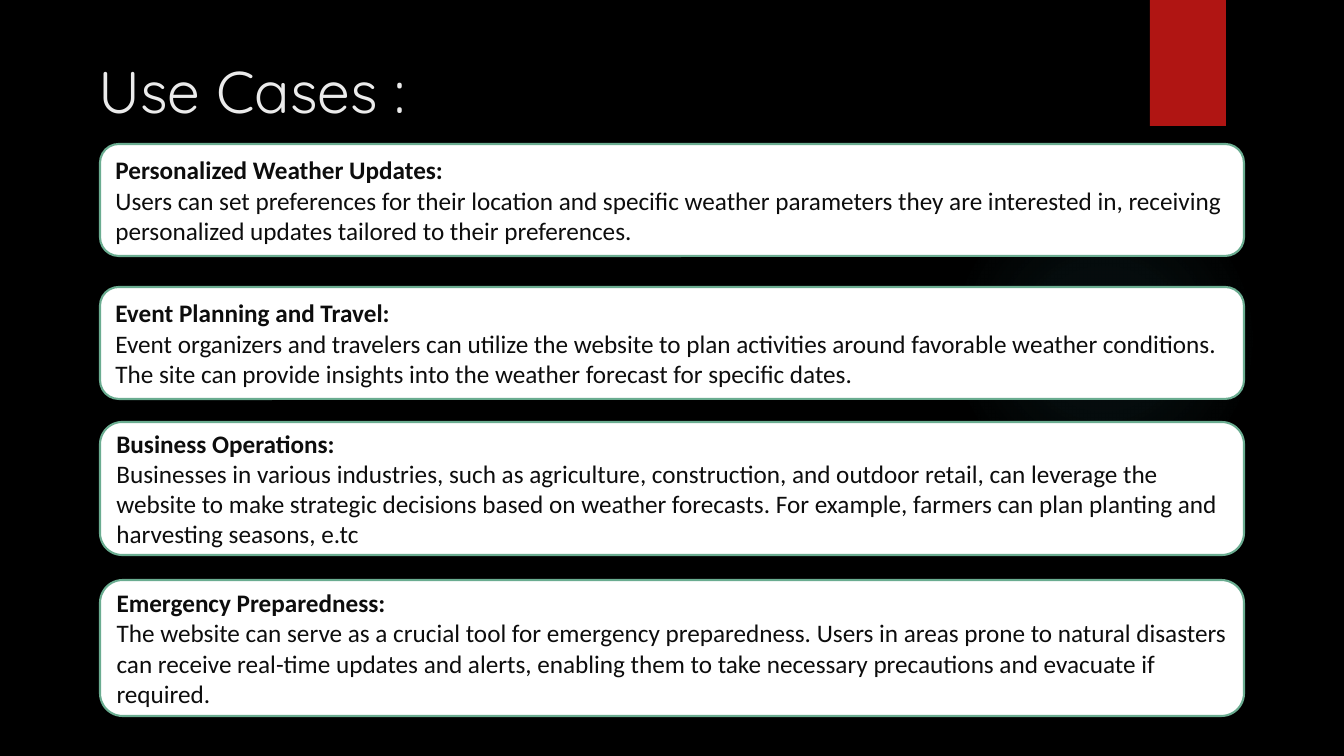
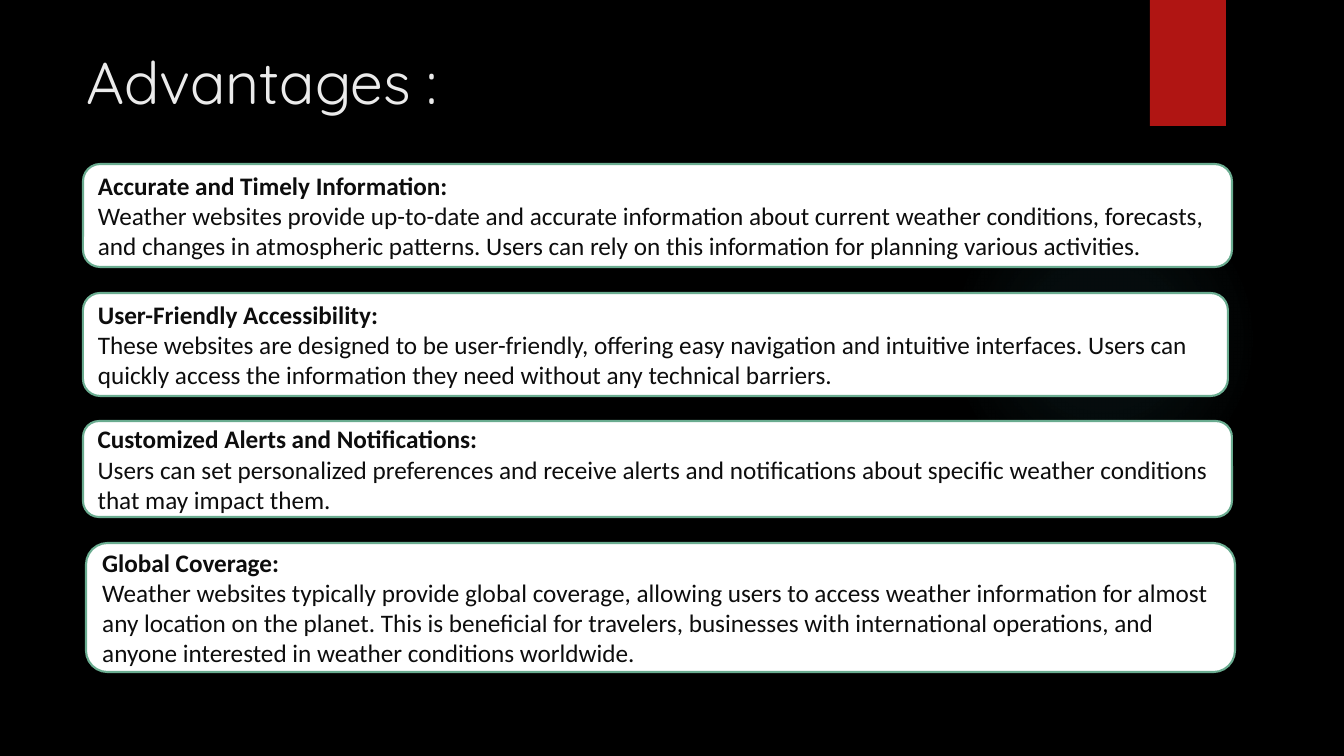
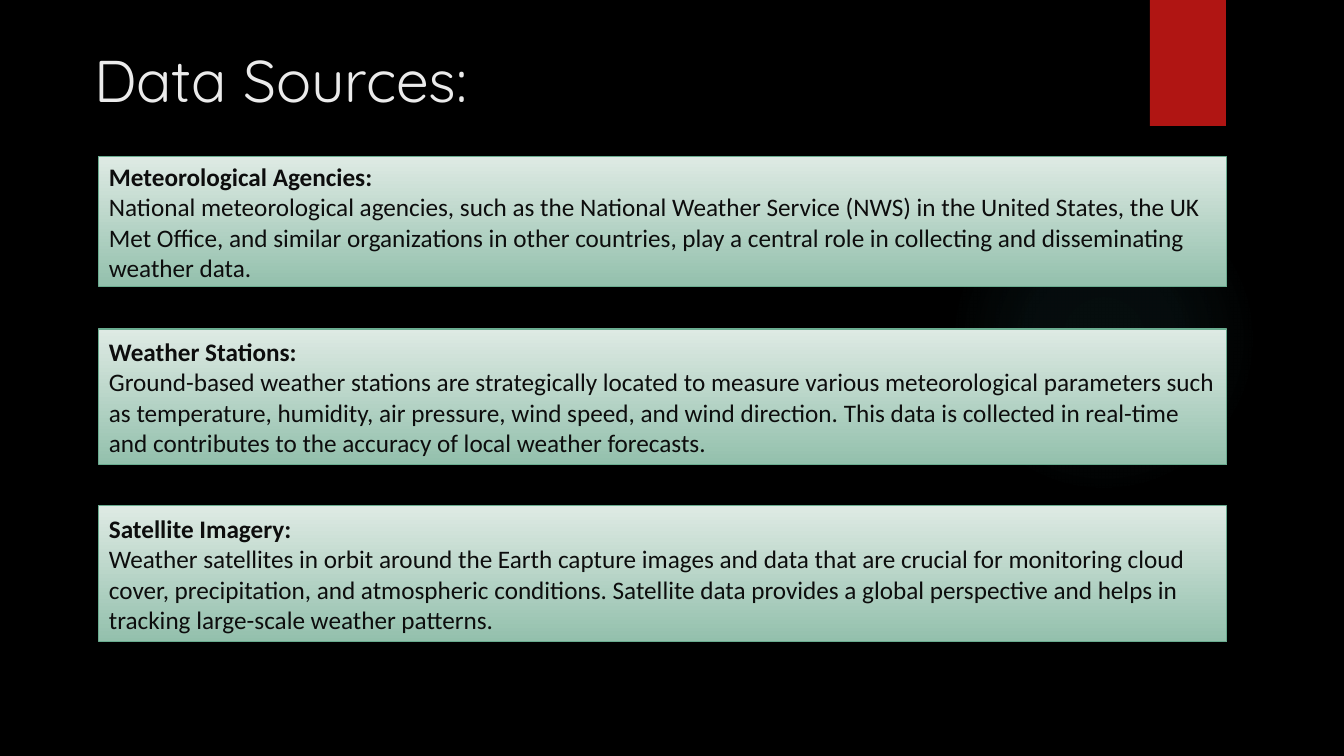
from dataclasses import dataclass

from lxml import etree
from pptx import Presentation
from pptx.dml.color import RGBColor
from pptx.enum.shapes import MSO_SHAPE
from pptx.enum.text import MSO_ANCHOR, MSO_AUTO_SIZE, PP_ALIGN
from pptx.oxml import parse_xml
from pptx.oxml.ns import nsdecls, qn
from pptx.util import Emu, Pt

SLIDE_WIDTH, SLIDE_HEIGHT = 1344, 756
EMU_PER_PX = 12192000 / SLIDE_WIDTH
TITLE_ONLY = 5
RECTANGLE, ROUNDED, ELLIPSE = MSO_SHAPE.RECTANGLE, MSO_SHAPE.ROUNDED_RECTANGLE, MSO_SHAPE.OVAL
TOP, MIDDLE = MSO_ANCHOR.TOP, MSO_ANCHOR.MIDDLE
LEFT = PP_ALIGN.LEFT
NO_AUTOFIT = MSO_AUTO_SIZE.NONE


@dataclass(frozen=True)
class Theme:
    background: str = "000000"
    ribbon: str = "B01513"
    glow: str = "50B9C1"
    title: str = "EBEBEB"
    text: str = "0D0D0D"
    border: str = "6AAC90"
    title_font: str = "Quicksand"
    text_font: str = "Calibri"
    title_size: int = 42
    text_size: int = 18


THEME = Theme()
GLOW_BOX = (949, 184, 310, 310)
RIBBON_BOX = (1150, 0, 76, 126)
GLOW_STOPS = ((0, 7), (36, 6), (69, 0))

WHITE_CARD = {"outline": ROUNDED, "fill": ("FFFFFF",), "border_width": 1.5}
GREEN_CARD = {"outline": RECTANGLE, "fill": ("DEEAE4", "93C0AC"), "border_width": 0.75}

SLIDES = [
    {
        "title": " Use Cases :",
        "title_box": (72, 50, 1010, 75),
        "style": WHITE_CARD,
        "cards": [
            ((100, 144, 1144, 112), "Personalized Weather Updates:",
             "Users can set preferences for their location and specific weather parameters they are "
             "interested in, receiving personalized updates tailored to their preferences."),
            ((100, 287, 1144, 112), "Event Planning and Travel:",
             "Event organizers and travelers can utilize the website to plan activities around favorable "
             "weather conditions. The site can provide insights into the weather forecast for specific dates."),
            ((100, 422, 1144, 133), "Business Operations:",
             "Businesses in various industries, such as agriculture, construction, and outdoor retail, can "
             "leverage the website to make strategic decisions based on weather forecasts. For example, "
             "farmers can plan planting and harvesting seasons, e.tc"),
            ((100, 580, 1144, 136), "Emergency Preparedness:",
             "The website can serve as a crucial tool for emergency preparedness. Users in areas prone to "
             "natural disasters can receive real-time updates and alerts, enabling them to take necessary "
             "precautions and evacuate if required."),
        ],
    },
    {
        "title": "Advantages :",
        "title_box": (76, 41, 1022, 86),
        "style": WHITE_CARD,
        "cards": [
            ((83, 164, 1149, 103), "Accurate and Timely Information:",
             "Weather websites provide up-to-date and accurate information about current weather "
             "conditions, forecasts, and changes in atmospheric patterns. Users can rely on this "
             "information for planning various activities."),
            ((83, 293, 1145, 103), "User-Friendly Accessibility:",
             "These websites are designed to be user-friendly, offering easy navigation and intuitive "
             "interfaces. Users can quickly access the information they need without any technical barriers."),
            ((83, 421, 1149, 96), "Customized Alerts and Notifications:",
             "Users can set personalized preferences and receive alerts and notifications about specific "
             "weather conditions that may impact them."),
            ((86, 543, 1149, 129), "Global Coverage:",
             "Weather websites typically provide global coverage, allowing users to access weather "
             "information for almost any location on the planet. This is beneficial for travelers, "
             "businesses with international operations, and anyone interested in weather conditions worldwide."),
        ],
    },
    {
        "title": "Data Sources:",
        "title_box": (84, 39, 1037, 82),
        "style": GREEN_CARD,
        "cards": [
            ((99, 157, 1128, 130), "Meteorological Agencies:",
             "National meteorological agencies, such as the National Weather Service (NWS) in the United "
             "States, the UK Met Office, and similar organizations in other countries, play a central role "
             "in collecting and disseminating weather data."),
            ((99, 329, 1128, 136), "Weather Stations:",
             "Ground-based weather stations are strategically located to measure various meteorological "
             "parameters such as temperature, humidity, air pressure, wind speed, and wind direction. This "
             "data is collected in real-time and contributes to the accuracy of local weather forecasts."),
            ((99, 506, 1128, 136), "Satellite Imagery:",
             "Weather satellites in orbit around the Earth capture images and data that are crucial for "
             "monitoring cloud cover, precipitation, and atmospheric conditions. Satellite data provides a "
             "global perspective and helps in tracking large-scale weather patterns."),
        ],
    },
]


def px(length):
    return Emu(round(length * EMU_PER_PX))


def rgb(color):
    return RGBColor.from_string(color)


def set_attributes(target, values):
    for name, value in values.items():
        setattr(target, name, value)


def add_shape(slide, outline, box):
    shape = slide.shapes.add_shape(outline, *map(px, box))
    shape.shadow.inherit = False
    return shape


def fill_shape(shape, colors):
    """Fill with one colour, or with a gradient running from top to bottom."""
    if len(colors) == 1:
        shape.fill.solid()
        shape.fill.fore_color.rgb = rgb(colors[0])
        return
    shape.fill.gradient()
    shape.fill.gradient_angle = 270
    for stop, color in zip(shape.fill.gradient_stops, colors):
        stop.color.rgb = rgb(color)


def add_glow(slide, box):
    glow = add_shape(slide, ELLIPSE, box)
    glow.line.fill.background()
    glow.fill.background()
    stops = "".join(
        f'<a:gs pos="{position * 1000}"><a:srgbClr val="{THEME.glow}">'
        f'<a:alpha val="{opacity * 1000}"/></a:srgbClr></a:gs>'
        for position, opacity in GLOW_STOPS
    )
    gradient = parse_xml(
        f'<a:gradFill {nsdecls("a")}><a:gsLst>{stops}</a:gsLst><a:path path="circle">'
        '<a:fillToRect l="50000" t="50000" r="50000" b="50000"/></a:path></a:gradFill>'
    )
    properties = glow.element.spPr
    properties.replace(properties.find(qn("a:noFill")), gradient)
    return glow


def add_ribbon(slide, box):
    ribbon = add_shape(slide, RECTANGLE, box)
    fill_shape(ribbon, (THEME.ribbon,))
    ribbon.line.fill.background()
    shadow = parse_xml(
        f'<a:outerShdw {nsdecls("a")} blurRad="38100" dist="25400" dir="5400000">'
        '<a:srgbClr val="000000"><a:alpha val="45000"/></a:srgbClr></a:outerShdw>'
    )
    ribbon.element.spPr.find(qn("a:effectLst")).append(shadow)
    return ribbon


def style_master(master):
    master.background.fill.solid()
    master.background.fill.fore_color.rgb = rgb(THEME.background)
    level = master.element.find(".//" + qn("p:titleStyle")).find(qn("a:lvl1pPr"))
    level.set("algn", "l")
    defaults = level.find(qn("a:defRPr"))
    defaults.set("sz", str(THEME.title_size * 100))
    for child in list(defaults):
        defaults.remove(child)
    fill = etree.SubElement(defaults, qn("a:solidFill"))
    etree.SubElement(fill, qn("a:srgbClr"), val=THEME.title)
    etree.SubElement(defaults, qn("a:latin"), typeface=THEME.title_font)


def decorate_layout(layout, slide):
    """Draw the glow and ribbon on a slide, then move them behind the layout's placeholders."""
    decorations = [add_glow(slide, GLOW_BOX), add_ribbon(slide, RIBBON_BOX)]
    for index, shape in enumerate(decorations):
        shape.element.find(".//" + qn("p:cNvPr")).set("id", str(20 + index))
        layout.shapes.element.insert(2 + index, shape.element)


def place_title(slide, text, box):
    title = slide.shapes.title
    set_attributes(title, dict(zip(("left", "top", "width", "height"), map(px, box))))
    set_attributes(title.text_frame, {
        "text": text, "vertical_anchor": TOP, "auto_size": NO_AUTOFIT, "word_wrap": True})


def add_card(slide, box, heading, description, style):
    card = add_shape(slide, style["outline"], box)
    fill_shape(card, style["fill"])
    card.line.color.rgb = rgb(THEME.border)
    card.line.width = Pt(style["border_width"])
    frame = card.text_frame
    set_attributes(frame, {
        "text": f"{heading}\n{description}", "vertical_anchor": MIDDLE, "word_wrap": True})
    for paragraph, bold in zip(frame.paragraphs, (True, False)):
        paragraph.alignment = LEFT
        font = paragraph.runs[0].font
        set_attributes(font, {
            "name": THEME.text_font, "size": Pt(THEME.text_size), "bold": bold})
        font.color.rgb = rgb(THEME.text)


def build_card_slide(slide, content):
    place_title(slide, content["title"], content["title_box"])
    for box, heading, description in content["cards"]:
        add_card(slide, box, heading, description, content["style"])


def main():
    presentation = Presentation()
    presentation.slide_width, presentation.slide_height = px(SLIDE_WIDTH), px(SLIDE_HEIGHT)
    style_master(presentation.slide_master)
    layout = presentation.slide_layouts[TITLE_ONLY]
    slides = [presentation.slides.add_slide(layout) for _ in SLIDES]
    decorate_layout(layout, slides[0])
    for slide, content in zip(slides, SLIDES):
        build_card_slide(slide, content)
    presentation.save("out.pptx")


if __name__ == "__main__":
    main()
